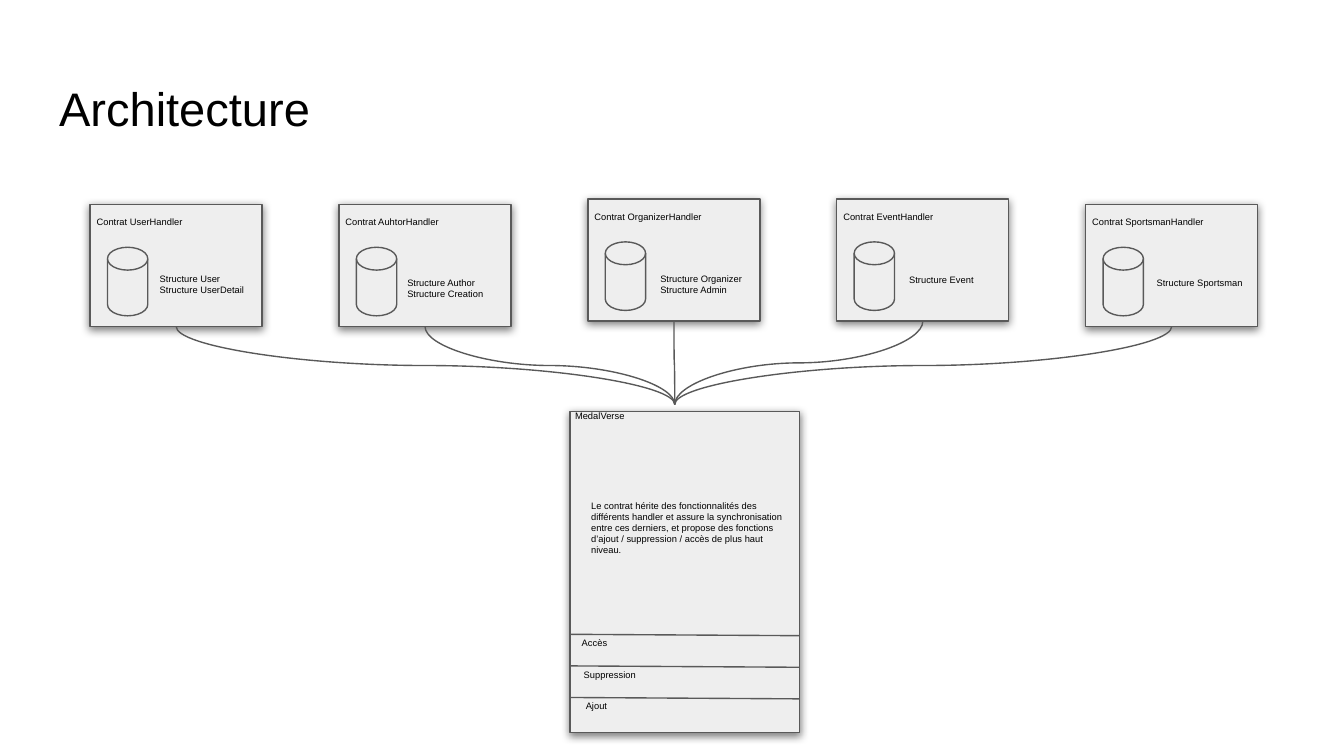
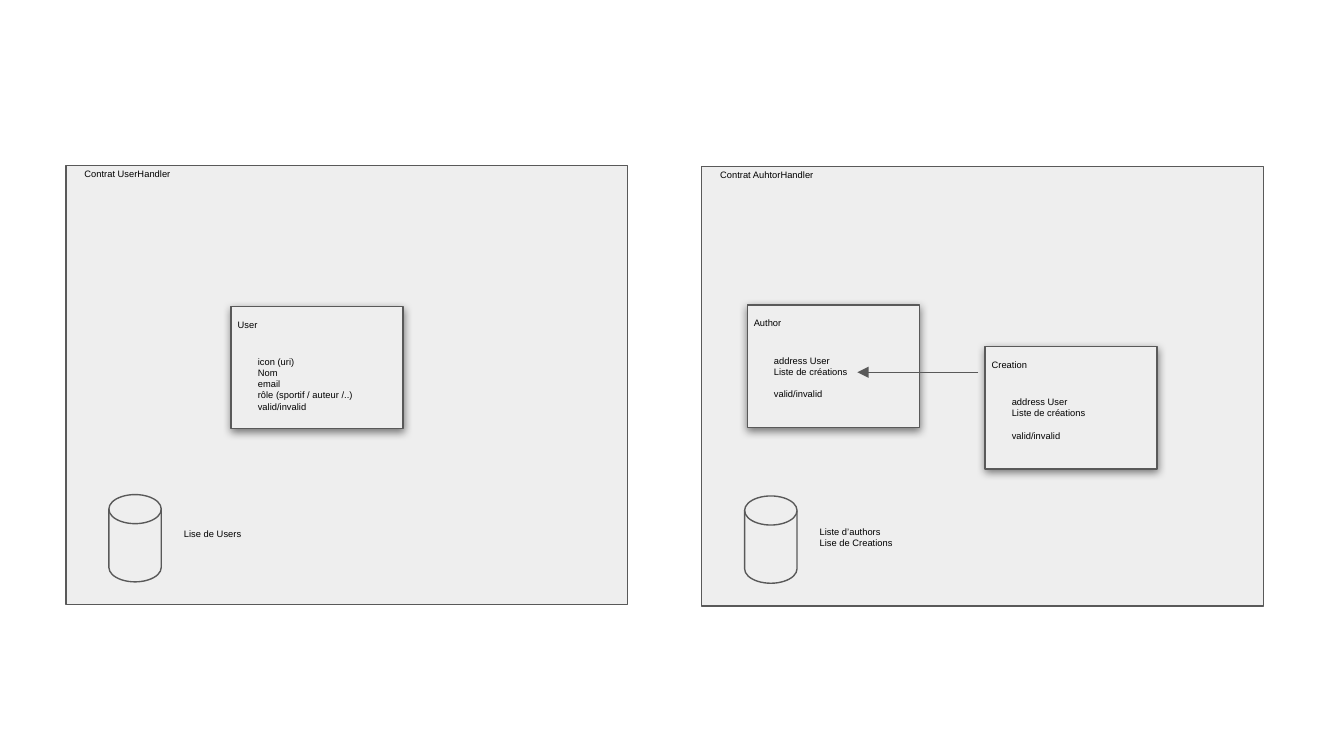
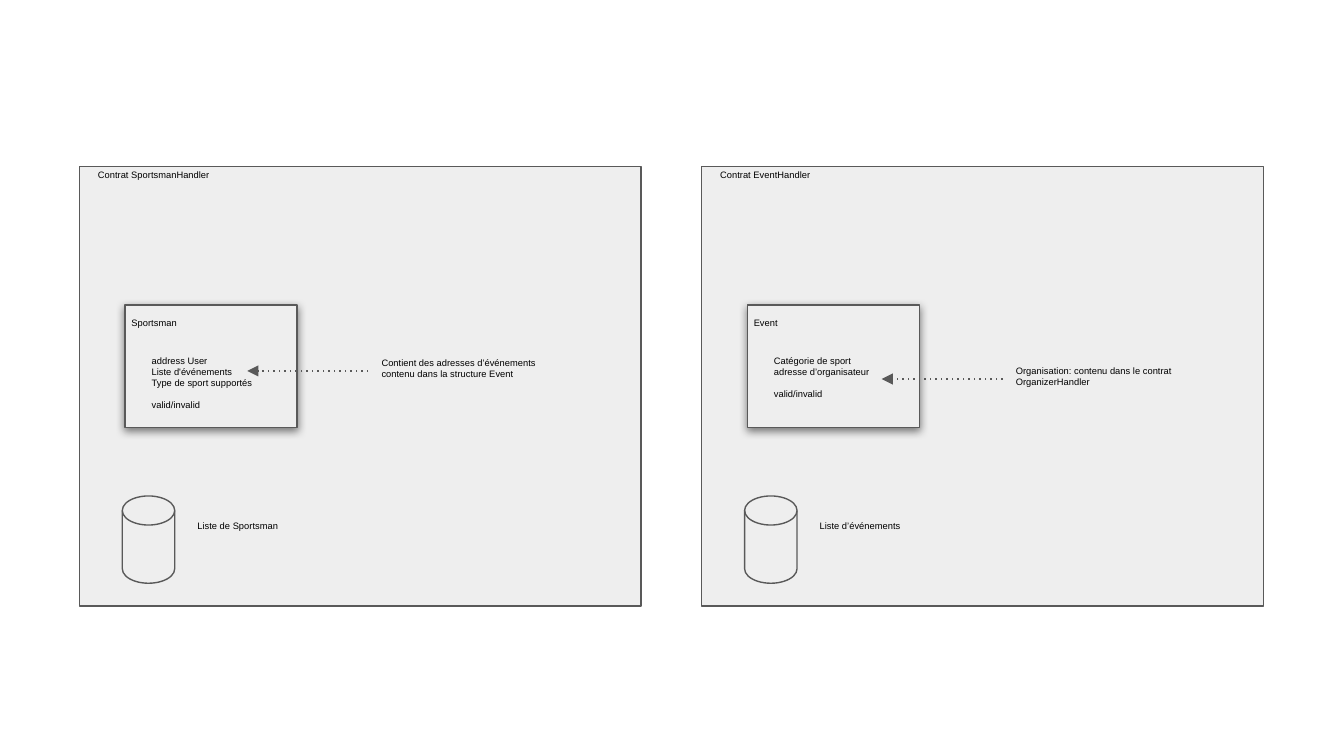
import dataclasses

import pptx
import pptx.dml.color
import pptx.enum.shapes
import pptx.enum.text
import pptx.oxml
import pptx.oxml.ns
import pptx.util

SHAPE = pptx.enum.shapes.MSO_SHAPE
LINE = pptx.enum.shapes.MSO_CONNECTOR
NS = pptx.oxml.ns.nsdecls("a")

FONT = "Arial"
INK, FILL, EDGE = "000000", "EEEEEE", "595959"
TEXT_SIZE, TITLE_SIZE, EDGE_WIDTH = 5, 25.2, 0.75
COLUMNS, ROWS = 100, 56.25        # square grid cells, a tenth of an inch each
CARD_W, CARD_H = 12.8, 9.1
PANEL_W, PANEL_H = 41.8, 32.7
INSET, LINE_H = 1, 0.84


@dataclasses.dataclass
class Box:
    """A region of the grid."""
    x: float
    y: float
    w: float
    h: float

    def inner(self, dx, dy, w, h):
        """Return a box placed relative to this one's corner."""
        return Box(self.x + dx, self.y + dy, w, h)

    def emu(self):
        """Return left, top, width and height as lengths."""
        return [cells(v) for v in (self.x, self.y, self.w, self.h)]


def cells(n):
    """Turn grid cells into a length."""
    return pptx.util.Inches(n / 10)


def rgb(value):
    """Turn a hex string into a colour."""
    return pptx.dml.color.RGBColor.from_string(value)


def style_font(p, size):
    """Set the deck's font on a paragraph."""
    p.font.name, p.font.size = FONT, pptx.util.Pt(size)
    p.font.color.rgb = rgb(INK)


def style_line(line):
    """Set the deck's outline."""
    line.color.rgb = rgb(EDGE)
    line.width = pptx.util.Pt(EDGE_WIDTH)


def set_insets(tf):
    """Give a text frame equal insets."""
    tf.margin_left = tf.margin_right = cells(INSET)
    tf.margin_top = tf.margin_bottom = cells(INSET)
    tf.word_wrap = True


def add_block(shapes, box, kind=SHAPE.RECTANGLE, shadow=False):
    """Draw a grey outlined shape, with a soft shadow if asked."""
    sp = shapes.add_shape(kind, *box.emu())
    sp.fill.solid()
    sp.fill.fore_color.rgb = rgb(FILL)
    style_line(sp.line)
    sp.shadow.inherit = False
    if shadow:
        effects = sp._element.spPr.find(pptx.oxml.ns.qn("a:effectLst"))
        effects.append(pptx.oxml.parse_xml(
            f'<a:outerShdw {NS} blurRad="57150" dist="19050" dir="5400000" '
            'algn="bl" rotWithShape="0"><a:srgbClr val="000000">'
            '<a:alpha val="50000"/></a:srgbClr></a:outerShdw>'))


def add_text(shapes, box, paragraphs, gap=False):
    """Write small paragraphs; gap sets the last one apart by a line."""
    tb = shapes.add_textbox(*box.emu())
    tf = tb.text_frame
    set_insets(tf)
    tf.auto_size = pptx.enum.text.MSO_AUTO_SIZE.SHAPE_TO_FIT_TEXT
    for i, text in enumerate(paragraphs):
        p = tf.add_paragraph() if i else tf.paragraphs[0]
        p.text = text
        style_font(p, TEXT_SIZE)
    if gap:
        p.space_before = pptx.util.Pt(6)


def text_height(paragraphs, gap=False):
    """Return the height of a text box for unwrapped paragraphs."""
    lines = sum(text.count("\n") + 1 for text in paragraphs) + gap
    return 2 * INSET + lines * LINE_H


def add_line(shapes, x1, y1, x2, y2, kind=LINE.STRAIGHT):
    """Draw a connector without a shadow."""
    cn = shapes.add_connector(kind, *[cells(v) for v in (x1, y1, x2, y2)])
    style_line(cn.line)
    cn._element.spPr.append(pptx.oxml.parse_xml(f"<a:effectLst {NS}/>"))
    return cn


def add_arrow(shapes, x1, x2, y, dotted=False):
    """Draw a level arrow pointing at x2."""
    cn = add_line(shapes, x1, y, x2, y)
    ln = cn._element.spPr.find(pptx.oxml.ns.qn("a:ln"))
    if dotted:
        ln.append(pptx.oxml.parse_xml(f'<a:prstDash {NS} val="dot"/>'))
    ln.append(pptx.oxml.parse_xml(f'<a:tailEnd {NS} type="triangle"/>'))


def add_curve(shapes, x1, y1, x2, y2):
    """Draw an S-curve that leaves and arrives vertically."""
    run, drop = abs(x2 - x1), y2 - y1
    left, top = (x1 + x2 - drop) / 2, (y1 + y2 - run) / 2
    cn = add_line(shapes, left, top, left + drop, top + run, LINE.CURVE)
    xfrm = cn._element.spPr.find(pptx.oxml.ns.qn("a:xfrm"))
    xfrm.set("rot", str((270 if x1 < x2 else 90) * 60000))
    if x1 < x2:
        xfrm.set("flipH", "1")


def add_title(slide, text):
    """Place and format the slide title."""
    title = slide.shapes.title
    title.left, title.top, title.width, title.height = Box(3.4, 4.9, 93.2, 6.3).emu()
    tf = title.text_frame
    set_insets(tf)
    tf.vertical_anchor = pptx.enum.text.MSO_ANCHOR.MIDDLE
    p = tf.paragraphs[0]
    p.text = text
    p.alignment = pptx.enum.text.PP_ALIGN.LEFT
    style_font(p, TITLE_SIZE)


def add_card(shapes, box, name):
    """Draw a shadowed card with its name at the top."""
    add_block(shapes, box, shadow=True)
    add_text(shapes, box.inner(-0.5, 0.5, 14.5, text_height([name])), [name])


def add_handler(slide, box, name):
    """Draw one contract card with its store."""
    shapes = slide.shapes.add_group_shape().shapes
    add_card(shapes, box, "Contrat " + name)
    add_block(shapes, box.inner(1.3, 3.2, 3, 5.1), SHAPE.FLOWCHART_MAGNETIC_DISK)


def add_hub(slide, box, name, description, operations):
    """Draw the central contract with its rows of operations."""
    shapes = slide.shapes.add_group_shape().shapes
    add_block(shapes, box, shadow=True)
    for i, operation in enumerate(operations):
        y = 16.6 + 2.35 * i
        add_line(shapes, box.x, box.y + y, box.x + box.w, box.y + y + 0.1)
        add_text(shapes, box.inner(-0.1 + 0.15 * i, y - 0.2, 16.8,
                                   text_height([operation])), [operation])
    add_text(shapes, box.inner(-0.6, -0.5, 16.8, text_height([name])), [name])
    add_text(shapes, box.inner(0.6, 5.6, 16.8, 6.2), [description])


def add_structure(shapes, box, name, fields, gap):
    """Draw a structure card listing its fields."""
    add_card(shapes, box, name)
    add_text(shapes, box.inner(1, 2.7, 16.8, text_height(fields, gap)), fields, gap)


def add_panel(slide, box, name, structures, stored, stored_y=25.9, arrow=None, note=None):
    """Draw a contract panel: structures, an arrow with its note, a store.

    structures holds (dx, dy, name, fields, gap); arrow holds (start dx, dy).
    """
    shapes = slide.shapes.add_group_shape().shapes
    add_block(shapes, box)
    for dx, dy, *content in structures:
        add_structure(shapes, box.inner(dx, dy, CARD_W, CARD_H), *content)
    if arrow:
        dx, dy = arrow
        start = box.x + dx
        add_arrow(shapes, start, start - 9, box.y + dy, dotted=bool(note))
        if note:
            h = text_height(note)
            add_text(shapes, box.inner(dx, dy - h / 2, 14.5, h), note)
    heading = ["Contrat " + name]
    add_text(shapes, box.inner(0.4, -0.2, 32.8, text_height(heading)), heading)
    add_text(shapes, box.inner(7.8, stored_y, 16.8, text_height(stored)), stored)
    add_block(shapes, box.inner(3.2, 24.5, 3.9, 6.5), SHAPE.FLOWCHART_MAGNETIC_DISK)


def architecture_slide(prs):
    """Build the overview: five handlers feeding one contract."""
    slide = prs.slides.add_slide(prs.slide_layouts[5])
    add_title(slide, "Architecture")
    # name, card top, offset of the structure list, structures
    handlers = [
        ("UserHandler", 15.2, 4.2, 4.3, ["Structure User", "Structure UserDetail"]),
        ("AuhtorHandler", 15.2, 4.1, 4.6, ["Structure Author\nStructure Creation"]),
        ("OrganizerHandler", 14.8, 4.4, 4.7, ["Structure Organizer\nStructure Admin"]),
        ("EventHandler", 14.8, 4.4, 5.2, ["Structure Event"]),
        ("SportsmanHandler", 15.2, 4.3, 5, ["Structure Sportsman"]),
    ]
    boxes = [Box(6.7 + 18.52 * i, handler[1], CARD_W, CARD_H)
             for i, handler in enumerate(handlers)]
    for box, handler in zip(boxes, handlers):
        add_handler(slide, box, handler[0])
    for box in boxes:
        add_curve(slide.shapes, box.x + box.w / 2, box.y + box.h, 50.2, 30.1)
    add_hub(slide, Box(42.4, 30.6, 17.1, 23.9), "MedalVerse",
            "Le contrat hérite des fonctionnalités des différents handler et assure "
            "la synchronisation entre ces derniers, et propose des fonctions d’ajout "
            "/ suppression / accès de plus haut niveau.",
            ["Accès", "Suppression", "Ajout"])
    for box, (_, _, dx, dy, structures) in zip(boxes, handlers):
        add_text(slide.shapes, box.inner(dx, dy, 16.8, text_height(structures)), structures)


def people_slide(prs):
    """Build the user and author contracts."""
    slide = prs.slides.add_slide(prs.slide_layouts[6])
    fields = ["address User", "Liste de créations", "valid/invalid"]
    add_panel(slide, Box(4.9, 12.3, PANEL_W, PANEL_H), "UserHandler",
              [(12.3, 10.5, "User",
                ["icon (uri)\nNom\nemail\nrôle (sportif / auteur /..)", "valid/invalid"],
                False)],
              ["Lise de Users"], stored_y=26.6)
    add_panel(slide, Box(52.2, 12.4, PANEL_W, PANEL_H), "AuhtorHandler",
              [(3.4, 10.3, "Author", fields, True),
               (21.1, 13.4, "Creation", fields, True)],
              ["Liste d’authors", "Lise de Creations"], arrow=(20.6, 15.3))


def sport_slide(prs):
    """Build the event and sportsman contracts."""
    slide = prs.slides.add_slide(prs.slide_layouts[6])
    add_panel(slide, Box(52.2, 12.4, PANEL_W, PANEL_H), "EventHandler",
              [(3.4, 10.3, "Event",
                ["Catégorie de sport", "adresse d’organisateur", "valid/invalid"], True)],
              ["Liste d’événements"], arrow=(22.4, 15.8),
              note=["Organisation: contenu dans le contrat", "OrganizerHandler"])
    add_panel(slide, Box(5.9, 12.4, PANEL_W, PANEL_H), "SportsmanHandler",
              [(3.4, 10.3, "Sportsman",
                ["address User", "Liste d'événements", "Type de sport supportés",
                 "valid/invalid"], True)],
              ["Liste de Sportsman"], arrow=(21.5, 15.2),
              note=["Contient des adresses d’événements\ncontenu dans la structure Event"])


prs = pptx.Presentation()
prs.slide_width, prs.slide_height = cells(COLUMNS), cells(ROWS)
architecture_slide(prs)
people_slide(prs)
sport_slide(prs)
prs.save("out.pptx")
